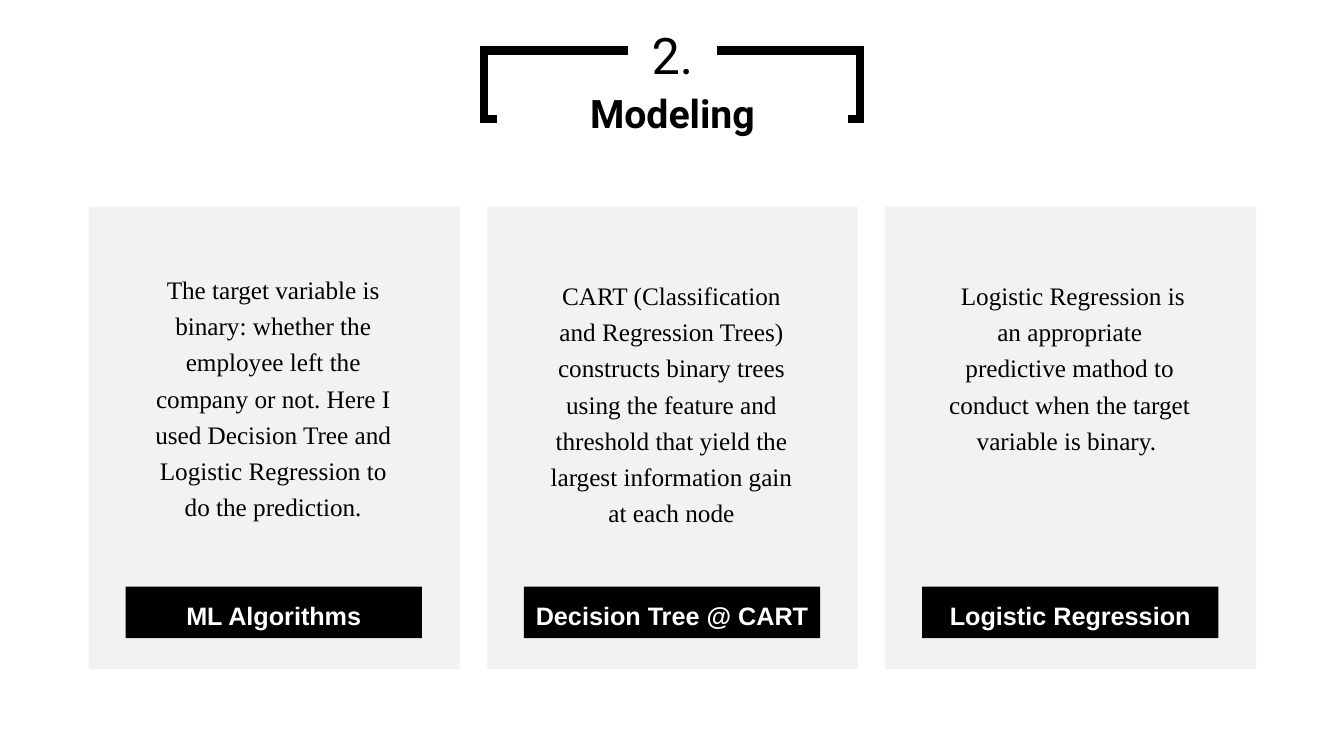
from lxml.etree import SubElement
from pptx import Presentation
from pptx.dml.color import RGBColor
from pptx.enum.shapes import MSO_SHAPE as Preset
from pptx.enum.text import MSO_ANCHOR as Anchor, MSO_AUTO_SIZE as AutoSize, PP_ALIGN as Align
from pptx.oxml.ns import qn
from pptx.util import Inches, Pt

COLORS = {"ink": "000000", "paper": "FFFFFF", "card": "F2F2F2"}
FONTS = {"heading": "Roboto", "label": "Arial", "body": "Times New Roman"}
GRID = 100
TITLE_ONLY = 5

CARD_LEFT, CARD_PITCH, CARD_WIDTH = 6.6, 29.63, 27.6
BAR_INSET, BAR_WIDTH = 2.75, 22.05
BODY_INSET, BODY_WIDTH = 3.68, 20.1
CARDS = [
    ("ML Algorithms", 34.8, 35.33,
     "The target variable is binary: whether the employee left the company or not. "
     "Here I used Decision Tree and Logistic Regression to do the prediction."),
    ("Decision Tree @ CART", 35.6, 35.33,
     "CART (Classification and Regression Trees) constructs binary trees using the "
     "feature and threshold that yield the largest information gain at each node"),
    ("Logistic Regression", 35.6, 25.6,
     " Logistic Regression is an appropriate predictive mathod to conduct when the "
     "target variable is binary. "),
]


class SlideBuilder:
    def __init__(self, presentation):
        self.slide = presentation.slides.add_slide(presentation.slide_layouts[TITLE_ONLY])
        self.column = presentation.slide_width / GRID
        self.row = presentation.slide_height / GRID

    def area(self, left, top, width, height):
        return (round(left * self.column), round(top * self.row),
                round(width * self.column), round(height * self.row))

    def color(self, name):
        return RGBColor.from_string(COLORS[name])

    def paint(self, shape, fill):
        shape.fill.solid()
        shape.fill.fore_color.rgb = self.color(fill)

    def block(self, area, fill):
        shape = self.slide.shapes.add_shape(Preset.RECTANGLE, *self.area(*area))
        shape.shadow.inherit = False
        shape.line.fill.background()
        self.paint(shape, fill)
        return shape

    def frame(self, area, color, weight):
        shape = self.slide.shapes.add_shape(Preset.RECTANGLE, *self.area(*area))
        shape.shadow.inherit = False
        shape.fill.background()
        shape.line.color.rgb = self.color(color)
        shape.line.width = Pt(weight)
        outline = shape.element.spPr.find(qn("a:ln"))
        SubElement(outline, qn("a:miter"), lim="800000")

    def add_text(self, shape, text, font, size, color="ink", bold=False,
                 anchor=Anchor.MIDDLE, spacing=1.0):
        text_frame = shape.text_frame
        text_frame.word_wrap = True
        text_frame.auto_size = AutoSize.NONE
        text_frame.vertical_anchor = anchor
        paragraph = text_frame.paragraphs[0]
        paragraph.alignment = Align.CENTER
        paragraph.line_spacing = spacing
        run = paragraph.add_run()
        run.text = text
        run.font.name = FONTS[font]
        run.font.size = Pt(size)
        run.font.bold = bold
        run.font.color.rgb = self.color(color)

    def title(self, area, text):
        shape = self.slide.shapes.title
        shape.left, shape.top, shape.width, shape.height = self.area(*area)
        shape.element.getparent().append(shape.element)
        self.paint(shape, "paper")
        self.add_text(shape, text, "heading", 28, bold=True)

    def number(self, area, text):
        self.add_text(self.block(area, "paper"), text, "heading", 36)

    def label(self, area, text):
        shape = self.block(area, "ink")
        shape.text_frame.margin_left = shape.text_frame.margin_right = 0
        self.add_text(shape, text, "label", 18, "paper", bold=True, spacing=1.2)

    def body(self, area, text):
        shape = self.slide.shapes.add_textbox(*self.area(*area))
        self.add_text(shape, text, "body", 18, anchor=Anchor.TOP, spacing=1.2)

    def card(self, index, label, body_top, body_height, text):
        left = CARD_LEFT + index * CARD_PITCH
        self.block((left, 27.33, CARD_WIDTH, 61.2), "card")
        self.label((left + BAR_INSET, 77.6, BAR_WIDTH, 6.8), label)
        self.body((left + BODY_INSET, body_top, BODY_WIDTH, body_height), text)


def main():
    presentation = Presentation()
    presentation.slide_width = Inches(13.33)
    presentation.slide_height = Inches(7.5)
    builder = SlideBuilder(presentation)
    builder.frame((36, 6.67, 28, 9.07), "ink", 6)
    builder.number((46.74, 2.4, 6.6, 9.47), "2.")
    builder.title((36.98, 11.07, 26.1, 7.6), "Modeling")
    for index, card in enumerate(CARDS):
        builder.card(index, *card)
    presentation.save("out.pptx")


if __name__ == "__main__":
    main()
